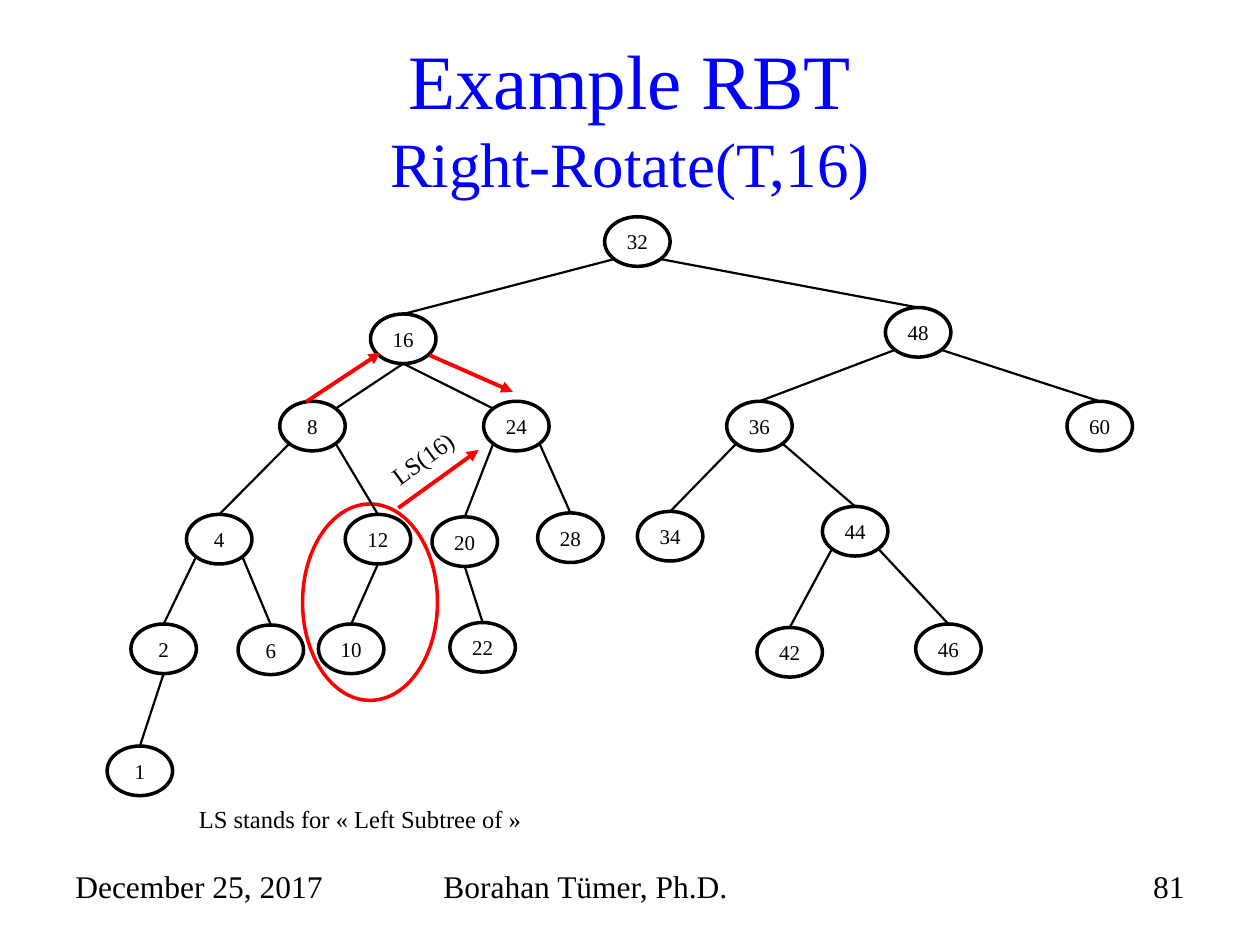
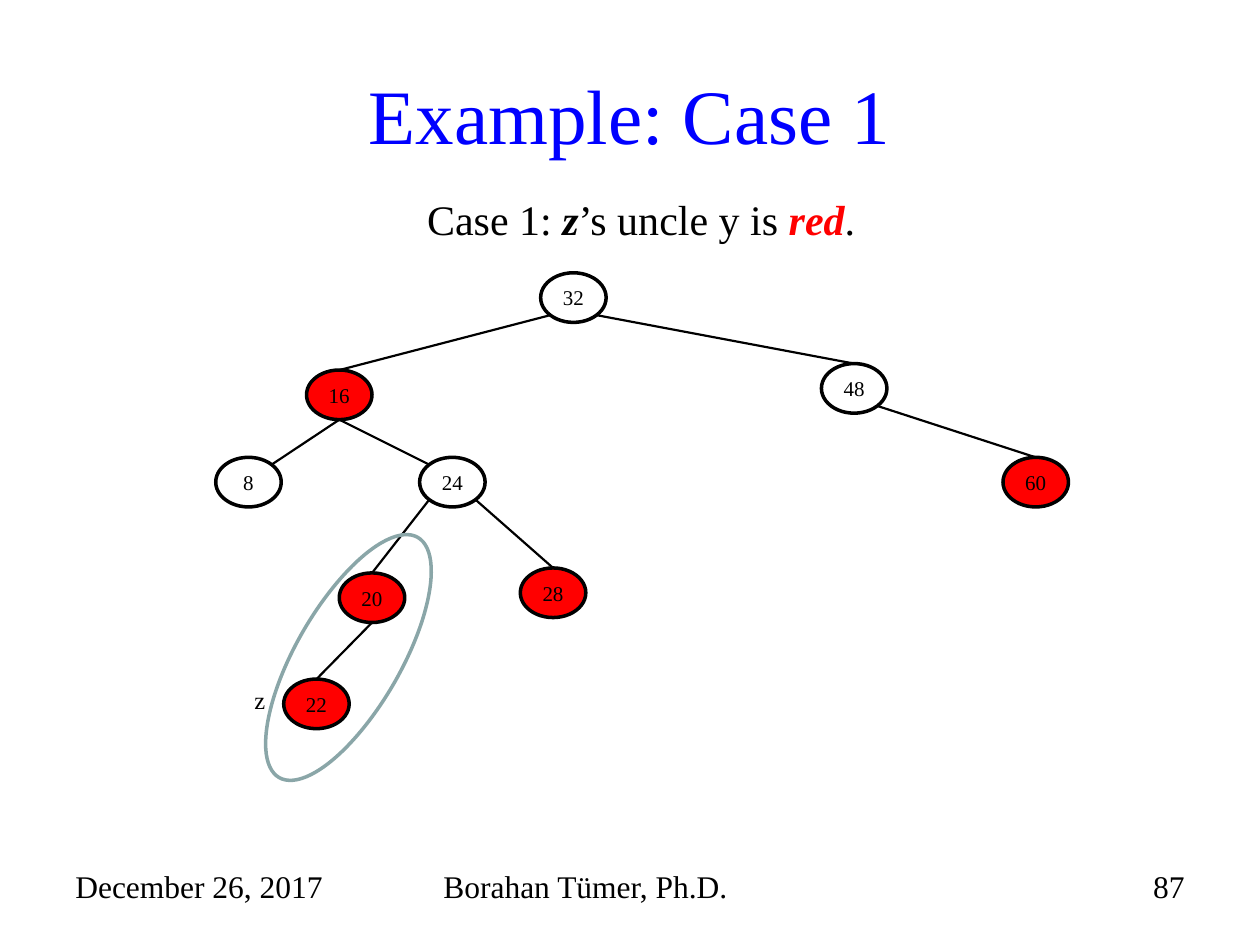
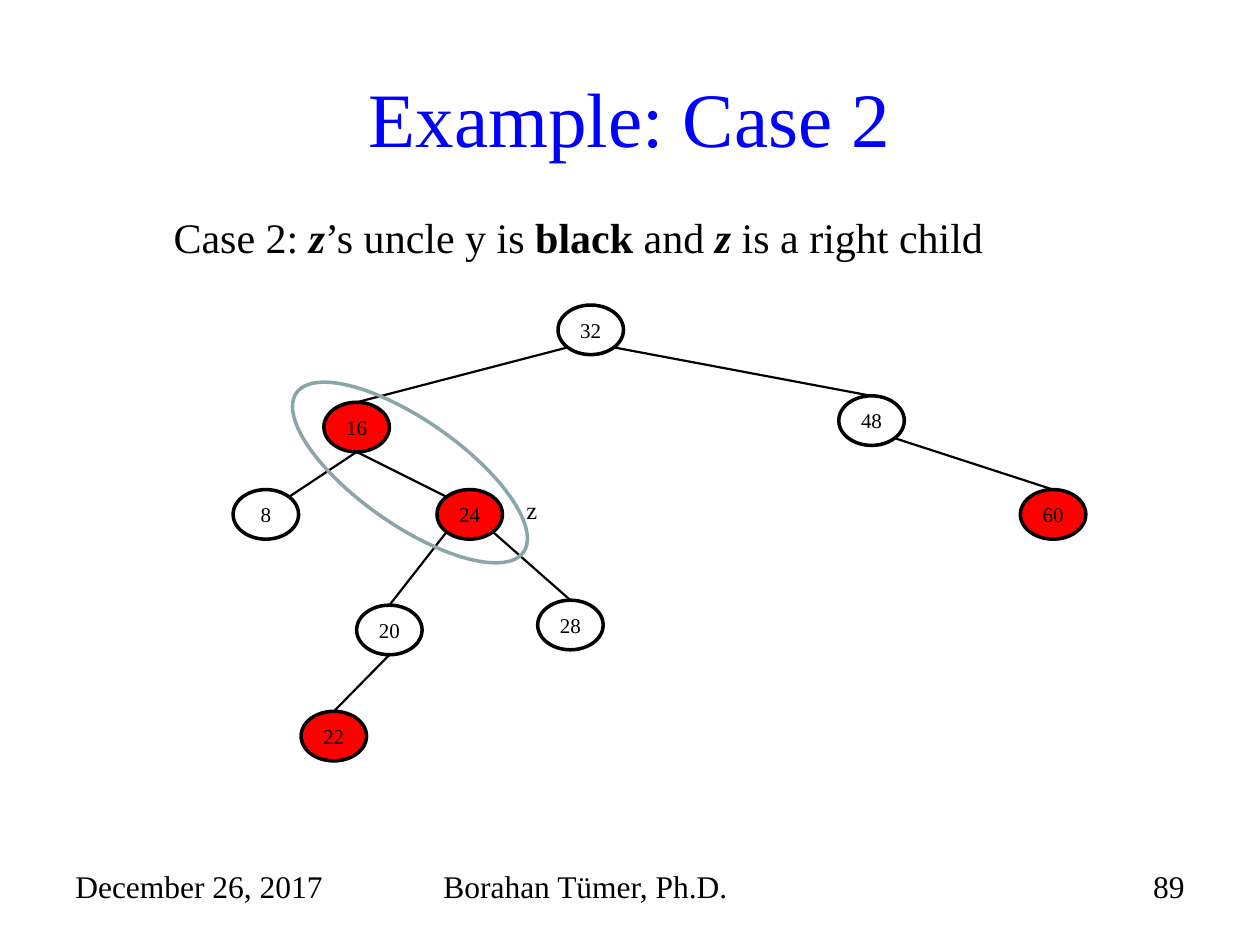
from dataclasses import dataclass
from math import sqrt
from typing import NamedTuple

from lxml import etree
from pptx import Presentation
from pptx.dml.color import RGBColor
from pptx.enum.shapes import MSO_CONNECTOR, MSO_SHAPE
from pptx.enum.text import MSO_ANCHOR, MSO_AUTO_SIZE, PP_ALIGN
from pptx.oxml.ns import qn
from pptx.util import Cm, Pt

STRAIGHT = MSO_CONNECTOR.STRAIGHT
OVAL = MSO_SHAPE.OVAL
MIDDLE = MSO_ANCHOR.MIDDLE
NO_AUTOFIT = MSO_AUTO_SIZE.NONE
LEFT, CENTER, RIGHT = PP_ALIGN.LEFT, PP_ALIGN.CENTER, PP_ALIGN.RIGHT

BLUE = RGBColor(0x00, 0x00, 0xFF)
BLACK = RGBColor(0x00, 0x00, 0x00)
RED = RGBColor(0xFF, 0x00, 0x00)
TEAL = RGBColor(0x8A, 0xA6, 0xA8)

FONT = "Times New Roman"
AUTHOR = "Borahan Tümer, Ph.D."
TITLE_ONLY = 5
NODE_WIDTH, NODE_HEIGHT = 1.32, 1.0

# Points on a node's outline, as fractions of its width and height from its centre
DIAGONAL = sqrt(0.5) / 2
PORTS = {
    "N": (0, -0.5),
    "S": (0, 0.5),
    "NW": (-DIAGONAL, -DIAGONAL),
    "NE": (DIAGONAL, -DIAGONAL),
    "SW": (-DIAGONAL, DIAGONAL),
    "SE": (DIAGONAL, DIAGONAL),
}


class Point(NamedTuple):
    x: float
    y: float


class Box(NamedTuple):
    left: float
    top: float
    width: float
    height: float

    def lengths(self) -> list:
        return [Cm(value) for value in self]


class Edge(NamedTuple):
    parent: int
    child: int
    start: str
    end: str = "N"


class Span(NamedTuple):
    text: str
    bold: bool = False
    italic: bool = False
    color: RGBColor = BLACK


@dataclass
class Tree:
    """A binary tree; node offsets are measured from the root node."""
    root: Point
    offsets: dict[int, Point]
    edges: list[Edge]
    red_keys: tuple[int, ...] = ()

    def box(self, key: int) -> Box:
        offset = self.offsets[key]
        return Box(self.root.x + offset.x, self.root.y + offset.y, NODE_WIDTH, NODE_HEIGHT)

    def port(self, key: int, name: str) -> Point:
        box = self.box(key)
        across, down = PORTS[name]
        return Point(box.left + box.width * (0.5 + across),
                     box.top + box.height * (0.5 + down))


UPPER_NODES = {
    32: Point(0, 0),
    16: Point(-4.72, 1.96), 48: Point(5.66, 1.83),
    8: Point(-6.55, 3.72), 24: Point(-2.44, 3.72), 60: Point(9.32, 3.72),
}
INSERTION_NODES = UPPER_NODES | {
    20: Point(-4.06, 6.05), 28: Point(-0.41, 5.95), 22: Point(-5.18, 8.19),
}
ROTATION_NODES = UPPER_NODES | {
    36: Point(2.46, 3.72),
    4: Point(-8.43, 6), 12: Point(-5.23, 6), 20: Point(-3.48, 6.05),
    28: Point(-1.35, 5.97), 34: Point(0.66, 5.94), 44: Point(4.39, 5.84),
    2: Point(-9.55, 8.21), 6: Point(-7.39, 8.23), 10: Point(-5.77, 8.21),
    22: Point(-3.12, 8.18), 42: Point(3.07, 8.28), 46: Point(6.27, 8.21),
    1: Point(-10.03, 10.67),
}
COMMON_EDGES = [
    Edge(32, 16, "SW"), Edge(32, 48, "SE"),
    Edge(16, 8, "S", "NE"), Edge(16, 24, "S", "NW"), Edge(48, 60, "SE"),
    Edge(24, 20, "SW"), Edge(24, 28, "SE"), Edge(20, 22, "S"),
]
ROTATION_EDGES = COMMON_EDGES + [
    Edge(48, 36, "SW"), Edge(36, 34, "SW"), Edge(36, 44, "SE"),
    Edge(44, 42, "SW"), Edge(44, 46, "SE"),
    Edge(8, 4, "SW"), Edge(8, 12, "SE"), Edge(12, 10, "S"),
    Edge(4, 2, "SW"), Edge(4, 6, "SE"), Edge(2, 1, "S"),
]
ROTATION_ARROWS = [
    (Point(6.17, 8.1), Point(7.67, 7.11)),
    (Point(8.66, 7.16), Point(10.34, 7.9)),
    (Point(8.03, 10.24), Point(9.65, 9.07)),
]


def format_run(run, size: float, color: RGBColor = BLACK,
               bold: bool = False, italic: bool = False) -> None:
    font = run.font
    font.name, font.size = FONT, Pt(size)
    font.bold, font.italic = bold, italic
    font.color.rgb = color


def add_text(slide, box: Box, spans: list[Span], size: float,
             align=LEFT, margin_left: float = 0.25):
    label = slide.shapes.add_textbox(*box.lengths())
    frame = label.text_frame
    frame.word_wrap = True
    frame.margin_left = Cm(margin_left)
    paragraph = frame.paragraphs[0]
    paragraph.alignment = align
    for span in spans:
        run = paragraph.add_run()
        run.text = span.text
        format_run(run, size, span.color, span.bold, span.italic)
    return label


def add_oval(slide, box: Box, line_color: RGBColor, rotation: float = 0):
    oval = slide.shapes.add_shape(OVAL, *box.lengths())
    oval.shadow.inherit = False
    oval.fill.background()
    oval.line.color.rgb = line_color
    oval.line.width = Pt(2)
    oval.rotation = rotation
    return oval


def add_node(slide, box: Box, key: int, is_red: bool):
    node = add_oval(slide, box, BLACK)
    if is_red:
        node.fill.solid()
        node.fill.fore_color.rgb = RED
    frame = node.text_frame
    frame.margin_left = frame.margin_right = frame.margin_top = frame.margin_bottom = 0
    frame.word_wrap = False
    frame.vertical_anchor = MIDDLE
    frame.text = str(key)
    paragraph = frame.paragraphs[0]
    paragraph.alignment = CENTER
    format_run(paragraph.runs[0], 12)
    return node


def add_line(slide, start: Point, end: Point, color: RGBColor, width: float,
             arrow: bool = False):
    line = slide.shapes.add_connector(
        STRAIGHT, *[Cm(value) for value in (*start, *end)])
    line.line.color.rgb = color
    line.line.width = Pt(width)
    properties = line.element.spPr
    if arrow:
        etree.SubElement(properties.find(qn("a:ln")), qn("a:tailEnd"), type="triangle")
    etree.SubElement(properties, qn("a:effectLst"))
    return line


def draw_tree(slide, tree: Tree) -> None:
    nodes = {key: add_node(slide, tree.box(key), key, key in tree.red_keys)
             for key in tree.offsets}
    for edge in tree.edges:
        line = add_line(slide, tree.port(edge.parent, edge.start),
                        tree.port(edge.child, edge.end), BLACK, 1.25)
        if edge.end == "N":
            line.end_connect(nodes[edge.child], 0)


def add_slide(deck, title: str, date: str, number: int, title_top: float = 0.76):
    """Add a slide with its title and the date, author and number footers."""
    slide = deck.slides.add_slide(deck.slide_layouts[TITLE_ONLY])
    heading = slide.shapes.title
    heading.left, heading.top, heading.width, heading.height = Box(
        1.27, title_top, 22.86, 3.17).lengths()
    frame = heading.text_frame
    frame.text = title
    frame.auto_size = NO_AUTOFIT
    frame.vertical_anchor = MIDDLE
    paragraph = frame.paragraphs[0]
    paragraph.alignment = CENTER
    for run, size in zip(paragraph.runs, (44, 36)):
        format_run(run, size, BLUE)
    footers = [(1.27, 5.92, date, LEFT), (8.69, 8.05, AUTHOR, LEFT),
               (18.21, 5.92, str(number), RIGHT)]
    for left, width, text, align in footers:
        add_text(slide, Box(left, 17.35, width, 1.32), [Span(text)], 18, align)
    return slide


def add_rotation_slide(deck) -> None:
    slide = add_slide(deck, "Example RBT\vRight-Rotate(T,16)", "December 25, 2017", 81)
    add_oval(slide, Box(6.1, 10.16, 2.72, 3.96), RED)
    draw_tree(slide, Tree(Point(12.19, 4.37), ROTATION_NODES, ROTATION_EDGES))
    for start, end in ROTATION_ARROWS:
        add_line(slide, start, end, RED, 2.25, arrow=True)
    subtree_label = add_text(slide, Box(7.04, 8.69, 3.3, 0.86), [Span("LS(16)")], 14,
                             margin_left=0.74)
    subtree_label.rotation = 323.8
    add_text(slide, Box(3.76, 16.08, 7.32, 0.86),
             [Span("LS stands for « Left Subtree of »")], 14)


def add_case_slide(deck, case: int, number: int, title_top: float, rule_box: Box,
                   rule: list[Span], tree: Tree, z_at: Point, ring_at: Point,
                   ring_rotation: float) -> None:
    """Add an insertion case: its rule, its tree, and a ring around z and z's parent."""
    slide = add_slide(deck, f"Example: Case {case}", "December 26, 2017", number, title_top)
    draw_tree(slide, tree)
    add_text(slide, Box(*z_at, 1.32, 0.86), [Span("z")], 14)
    add_oval(slide, Box(*ring_at, 2.11, 5.59), TEAL, ring_rotation)
    opening = [Span(f"Case {case}: "), Span("z", True, True), Span("’s uncle y is ")]
    add_text(slide, rule_box, opening + rule, 24, margin_left=1.52)


def main() -> None:
    deck = Presentation()
    deck.slide_width, deck.slide_height = Cm(25.4), Cm(19.05)
    add_rotation_slide(deck)
    add_case_slide(
        deck, 1, 87, 0.71, Box(7.09, 3.78, 13.84, 1.27),
        [Span("red", True, True, RED), Span(".")],
        Tree(Point(10.9, 5.5), INSERTION_NODES, COMMON_EDGES, (16, 60, 20, 28, 22)),
        z_at=Point(4.88, 13.69), ring_at=Point(5.97, 10.46), ring_rotation=30)
    add_case_slide(
        deck, 2, 89, 0.76, Box(1.98, 4.14, 21.64, 1.27),
        [Span("black", True), Span(" and "), Span("z", True, True),
         Span(" is a right child")],
        Tree(Point(11.25, 6.15), INSERTION_NODES, COMMON_EDGES, (16, 24, 60, 22)),
        z_at=Point(10.36, 9.86), ring_at=Point(7.21, 6.73), ring_rotation=305)
    deck.save("out.pptx")


if __name__ == "__main__":
    main()
